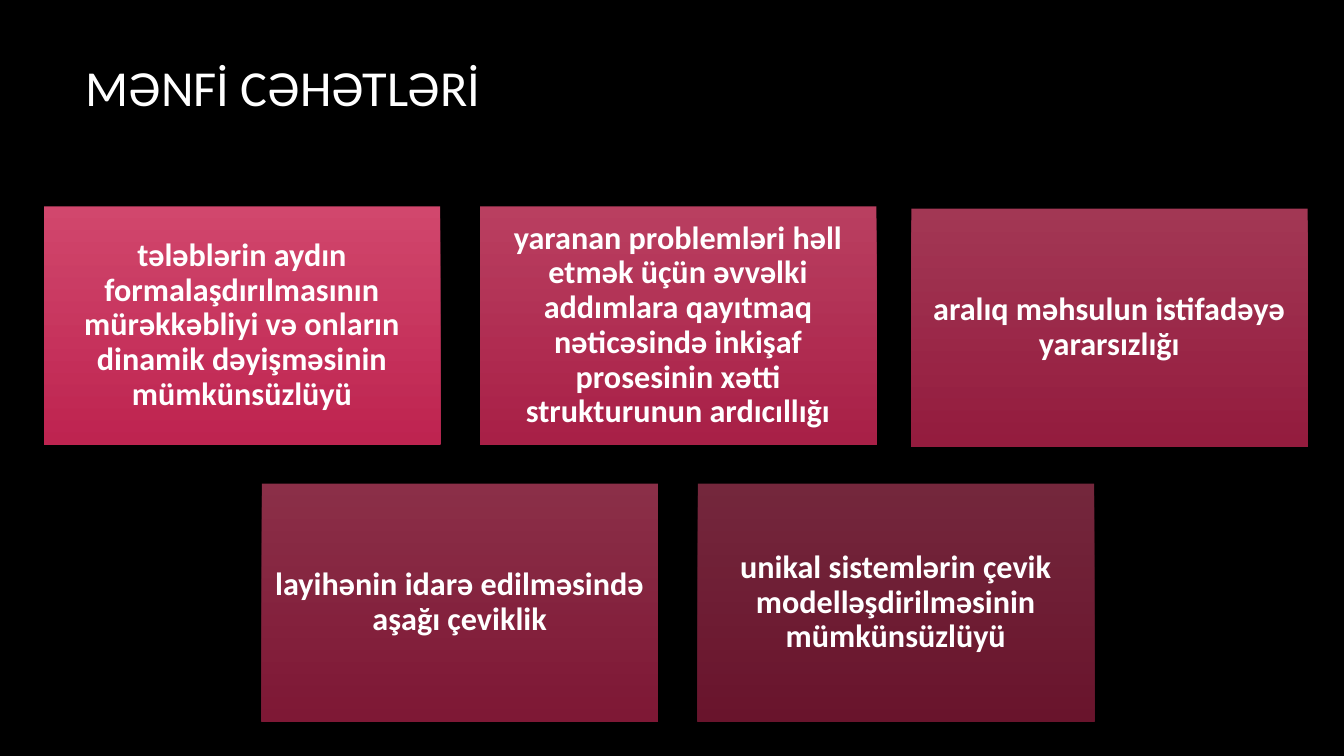
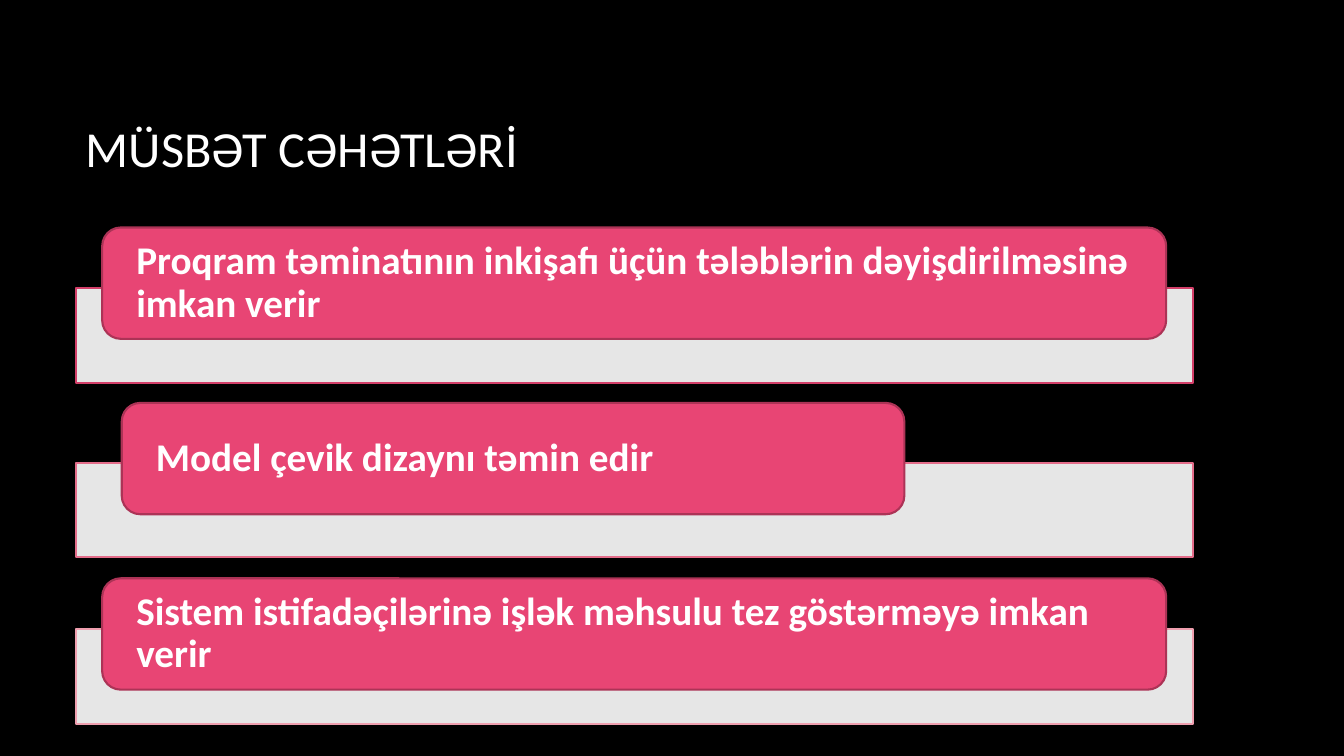
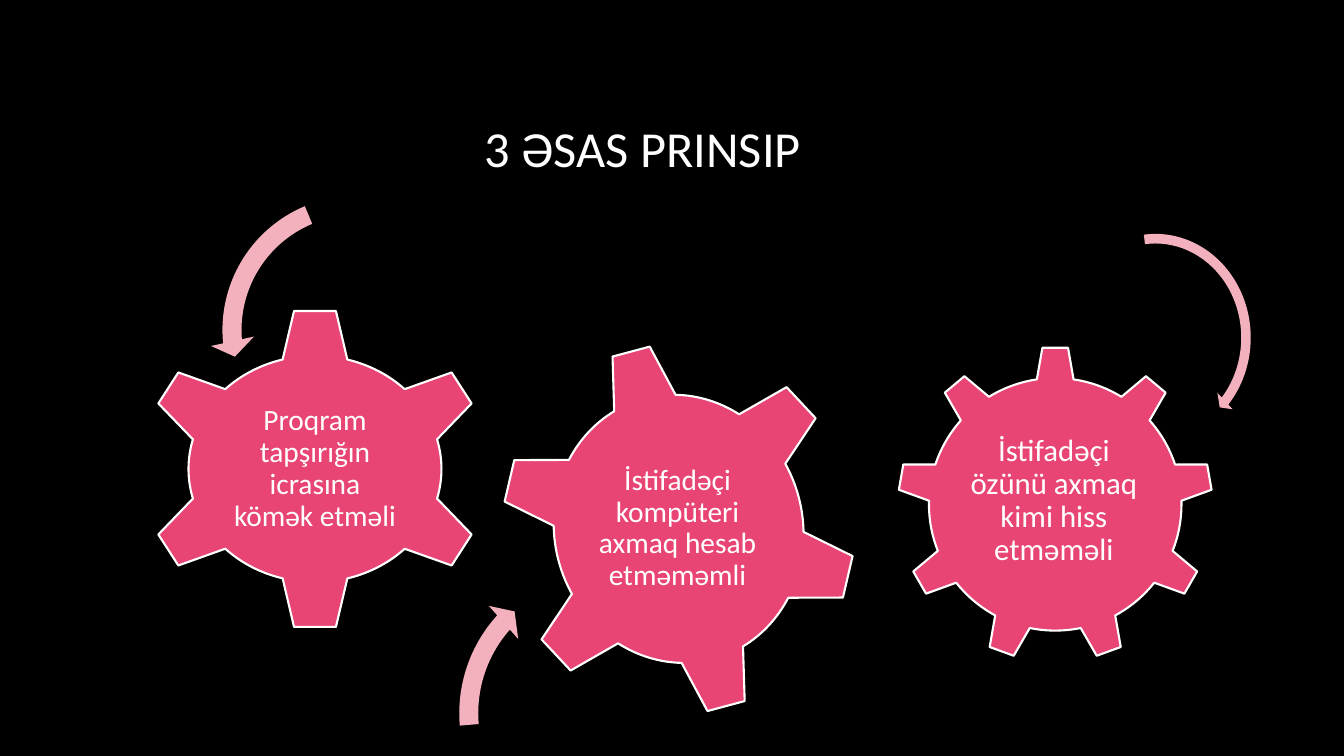
from lxml import etree
from pptx import Presentation
from pptx.dml.color import RGBColor
from pptx.enum.shapes import MSO_SHAPE as Preset
from pptx.enum.text import MSO_ANCHOR as Anchor, PP_ALIGN as Align
from pptx.oxml.ns import qn
from pptx.util import Pt

BLACK = RGBColor(0x00, 0x00, 0x00)
WHITE = RGBColor(0xFF, 0xFF, 0xFF)
PINK = RGBColor(0xE8, 0x45, 0x74)
PINK_TOP = RGBColor(0xE8, 0x4F, 0x79)
PINK_BOTTOM = RGBColor(0xD3, 0x28, 0x59)
PINK_PALE = RGBColor(0xF2, 0xB1, 0xBC)
TAB_EDGE = RGBColor(0xAC, 0x33, 0x56)
BAND_EDGES = (
    RGBColor(0xD3, 0x3F, 0x69),
    RGBColor(0xE3, 0x6D, 0x8A),
    RGBColor(0xEF, 0x9F, 0xAF),
)


def set_opacity(fill_element, percent):
    """Add an alpha value to every RGB colour below a fill element."""
    for colour in fill_element.iter(qn("a:srgbClr")):
        etree.SubElement(colour, qn("a:alpha")).set("val", str(percent * 1000))


class Deck:
    """Holds the shared style and the slide being built."""

    FONT = "Calibri"
    TITLE_SIZE = 36
    EDGE_WIDTH = 1.5

    def __init__(self):
        self.presentation = Presentation()
        self.presentation.slide_width = Pt(960)
        self.presentation.slide_height = Pt(540)
        backdrop = self.presentation.slide_master.background.fill
        backdrop.solid()
        backdrop.fore_color.rgb = BLACK
        self.slide = None

    def new_slide(self, title, top=48, height=114.5, indent=0):
        layout = self.presentation.slide_layouts.get_by_name("Title Only")
        self.slide = self.presentation.slides.add_slide(layout)
        heading = self.slide.shapes.title
        heading.left, heading.top = Pt(54), Pt(top)
        heading.width, heading.height = Pt(798), Pt(height)
        self.set_label(heading, title, self.TITLE_SIZE, align=Align.LEFT, spacing=1)
        heading.text_frame.margin_left = Pt(7.2 + indent)

    def set_label(self, holder, text, size, bold=False, align=Align.CENTER,
                  insets=(7.2, 7.2), spacing=0.9):
        """Fill a shape with one paragraph; insets are (sides, top and bottom)."""
        frame = holder.text_frame
        frame.text = text
        frame.word_wrap = True
        frame.vertical_anchor = Anchor.MIDDLE
        frame.margin_left = frame.margin_right = Pt(insets[0])
        frame.margin_top = frame.margin_bottom = Pt(insets[1])
        paragraph = frame.paragraphs[0]
        paragraph.alignment = align
        paragraph.line_spacing = spacing
        font = paragraph.runs[0].font
        font.name, font.size, font.bold = self.FONT, Pt(size), bold
        font.color.rgb = WHITE

    def shape(self, preset, box, fill=PINK, edge=None):
        item = self.slide.shapes.add_shape(preset, *map(Pt, box))
        item.shadow.inherit = False
        item.fill.solid()
        item.fill.fore_color.rgb = fill
        if edge is None:
            item.line.fill.background()
        else:
            item.line.color.rgb = edge
            item.line.width = Pt(self.EDGE_WIDTH)
        return item

    def card(self, left, top, text, opacity):
        card = self.shape(Preset.RECTANGLE, (left, top, 283, 170))
        card.fill.gradient()
        card.fill.gradient_angle = 270
        for stop, colour in zip(card.fill.gradient_stops, (PINK_TOP, PINK_BOTTOM)):
            stop.color.rgb = colour
        set_opacity(card.element.spPr.find(qn("a:gradFill")), opacity)
        self.set_label(card, text, 23, bold=True)

    def band(self, top, edge):
        band = self.shape(Preset.RECTANGLE, (54, top, 798, 67.5), WHITE, edge)
        set_opacity(band.element.spPr.find(qn("a:solidFill")), 90)

    def tab(self, left, top, width, text):
        tab = self.shape(Preset.ROUNDED_RECTANGLE, (left, top, width, 79.5), edge=TAB_EDGE)
        self.set_label(tab, text, 28, bold=True, align=Align.LEFT, insets=(20.5, 0))

    def gear(self, preset, box, label_box, text, size, rotation=0):
        """Draw a gear with an upright label over it."""
        gear = self.shape(preset, box, edge=WHITE)
        gear.rotation = rotation
        label = self.slide.shapes.add_textbox(*map(Pt, label_box))
        self.set_label(label, text, size, insets=(2, 2))

    def arc_arrow(self, preset, box, thickness, head_angle, end, start, head_width):
        """Draw a curved arrow; widths are percentages, angles are degrees."""
        arrow = self.shape(preset, box, PINK_PALE)
        values = (thickness / 100, head_angle * 0.6, end * 0.6, start * 0.6, head_width / 100)
        for index, value in enumerate(values):
            arrow.adjustments[index] = value


def add_drawbacks(deck):
    deck.new_slide("MƏNFİ CƏHƏTLƏRİ", top=0, height=123)
    drawbacks = (
        (31.5, 147.5, "tələblərin aydın formalaşdırılmasının mürəkkəbliyi və onların "
                      "dinamik dəyişməsinin mümkünsüzlüyü"),
        (343, 147.5, "yaranan problemləri həll etmək üçün əvvəlki addımlara qayıtmaq "
                     "nəticəsində inkişaf prosesinin xətti strukturunun ardıcıllığı"),
        (651, 149, "aralıq məhsulun istifadəyə yararsızlığı"),
        (187, 345.5, "layihənin idarə edilməsində aşağı çeviklik"),
        (498.5, 345.5, "unikal sistemlərin çevik modelləşdirilməsinin mümkünsüzlüyü"),
    )
    for index, (left, top, text) in enumerate(drawbacks):
        deck.card(left, top, text, opacity=90 - 10 * index)


def add_advantages(deck):
    deck.new_slide("MÜSBƏT CƏHƏTLƏRİ")
    advantages = (
        (206, 73, 760, "Proqram təminatının inkişafı üçün tələblərin dəyişdirilməsinə imkan verir"),
        (330.5, 87, 559, "Model çevik dizaynı təmin edir"),
        (449.5, 73, 760, "Sistem istifadəçilərinə işlək məhsulu tez göstərməyə imkan verir"),
    )
    for index, (band_top, left, width, text) in enumerate(advantages):
        deck.band(band_top, BAND_EDGES[index])
        deck.tab(left, 162.5 + 125.3 * index, width, text)


def add_principles(deck):
    deck.new_slide("3 ƏSAS PRINSIP", indent=285)
    deck.gear(Preset.GEAR_9, (641, 247.5, 225.5, 225.5), (685.5, 300, 134.5, 116),
              "İstifadəçi özünü axmaq kimi hiss etməməli", 22)
    deck.gear(Preset.GEAR_6, (100, 219.5, 250, 231), (161, 278, 128, 114),
              "Proqram tapşırığın icrasına kömək etməli", 21)
    deck.gear(Preset.GEAR_6, (358, 243.5, 253.5, 268.5), (412, 303, 144, 149),
              "İstifadəçi kompüteri axmaq hesab etməməmli", 21, rotation=345)
    deck.arc_arrow(Preset.CIRCULAR_ARROW, (752.5, 162.5, 145.5, 157.5),
                   4.7, 4.98, 42.27, 263.66, 5.5)
    deck.arc_arrow(Preset.LEFT_CIRCULAR_ARROW, (150, 131, 209.5, 209.5),
                   6.5, 7.17, 174.82, 247.3, 7.5)
    deck.arc_arrow(Preset.CIRCULAR_ARROW, (319, 396.5, 226, 226),
                   6, 6.57, 221.9, 175.14, 7)


def main():
    deck = Deck()
    add_drawbacks(deck)
    add_advantages(deck)
    add_principles(deck)
    deck.presentation.save("out.pptx")


if __name__ == "__main__":
    main()
